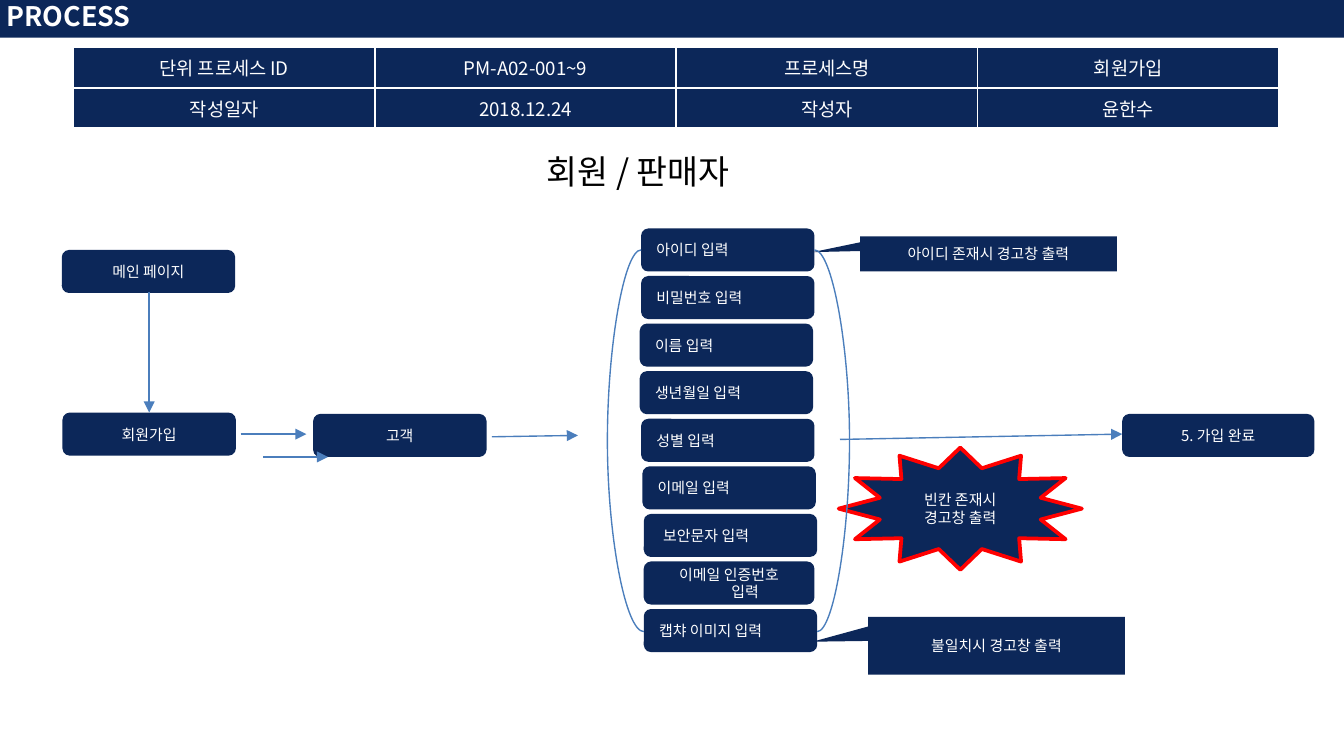
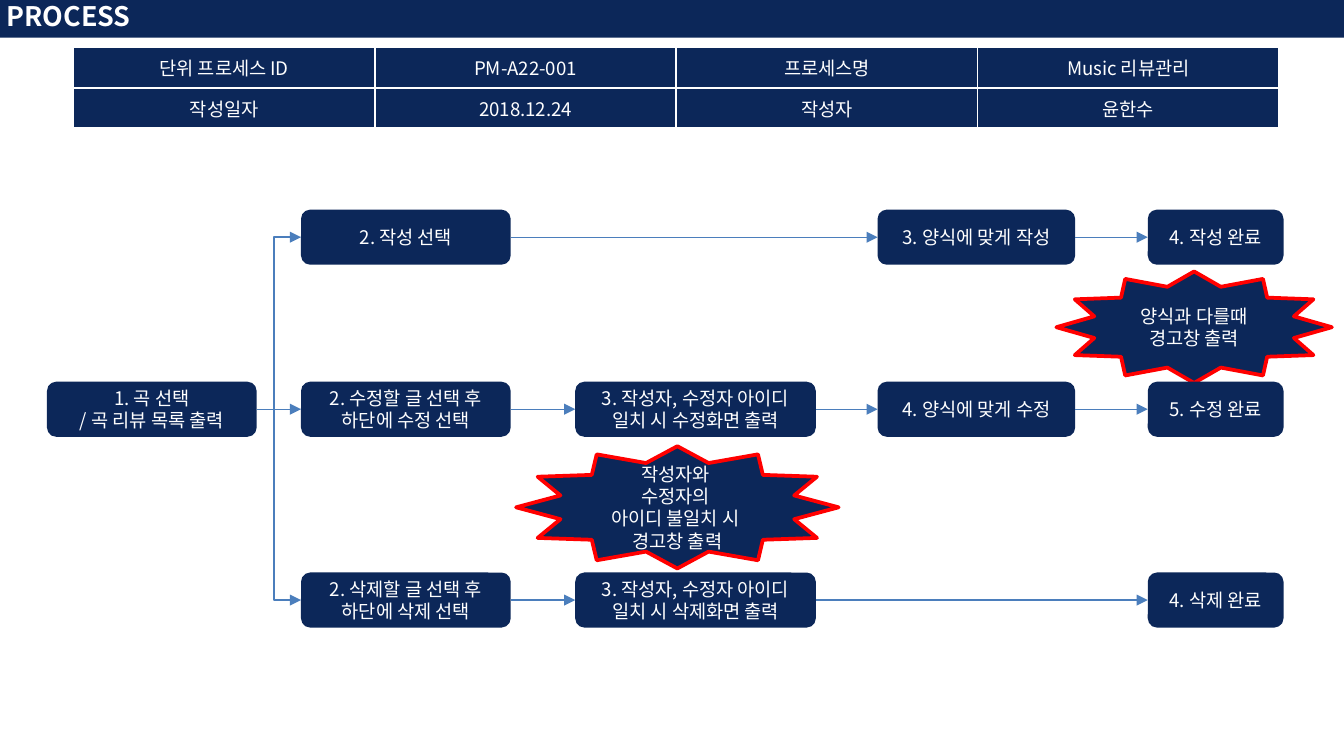
from lxml.etree import SubElement
from pptx import Presentation
from pptx.dml.color import RGBColor
from pptx.enum.shapes import MSO_CONNECTOR as LINK, MSO_SHAPE as FORM
from pptx.enum.text import MSO_ANCHOR, PP_ALIGN as ALIGN
from pptx.oxml.ns import qn
from pptx.util import Inches, Pt

NAVY = RGBColor(0x0C, 0x27, 0x59)
BLUE = RGBColor(0x4B, 0x7E, 0xBC)
RED = RGBColor(0xFF, 0x00, 0x00)
WHITE = RGBColor(0xFF, 0xFF, 0xFF)
BLACK = RGBColor(0x00, 0x00, 0x00)
FONT = "Noto Sans CJK KR"

# Square grid: 100 columns across, 56.25 rows down (16:9)
UNIT = Inches(0.1)
COLS, ROWS = 100, 56.25

deck = Presentation()
deck.slide_width, deck.slide_height = int(COLS * UNIT), int(ROWS * UNIT)


def write(text, page=None, at=None, cell=None, form=FORM.ROUNDED_RECTANGLE,
          size=8, color=WHITE, bold=False, align=ALIGN.CENTER, fill=NAVY,
          edge=None, adj=(), pad=(0.1, 0.05), dent=0, anchor=MSO_ANCHOR.MIDDLE):
    """Put text in a new shape on the page, or in a given table cell."""
    if cell is None:
        shape = page.shapes.add_shape(form, *[int(n * UNIT) for n in at])
        shape.shadow.inherit = False
        for i, value in enumerate(adj):
            shape.adjustments[i] = value
        if edge is None:
            shape.line.fill.background()
        else:
            shape.line.color.rgb = edge
            shape.line.width = Pt(2)
        frame, box = shape.text_frame, shape
        frame.word_wrap = True
        frame.vertical_anchor = anchor
        frame.margin_left = frame.margin_right = Inches(pad[0])
        frame.margin_top = frame.margin_bottom = Inches(pad[1])
    else:
        frame, box = cell.text_frame, cell
        cell.vertical_anchor = anchor
    box.fill.solid()
    box.fill.fore_color.rgb = fill
    frame.text = text
    for para in frame.paragraphs:
        para.alignment = align
        for gap in para._p.findall(qn("a:br")):
            SubElement(gap, qn("a:rPr"), sz=str(size * 100))
        for run in para.runs:
            font = run.font
            font.name, font.size, font.bold = FONT, Pt(size), bold
            font.color.rgb = color
            SubElement(run._r.get_or_add_rPr(), qn("a:ea"), typeface=FONT)
    if dent:
        para._p.get_or_add_pPr().set("marL", str(Inches(dent)))


def link(page, x1, y1, x2, y2, kind=LINK.STRAIGHT, bend=None, head=True):
    """Draw a connector; bend is the turning point as a share of its width."""
    line = page.shapes.add_connector(
        kind, *[int(n * UNIT) for n in (x1, y1, x2, y2)])
    line.line.color.rgb = BLUE
    line.line.width = Pt(0.75)
    props = line._element.spPr
    if head:
        SubElement(props.find(qn("a:ln")), qn("a:tailEnd"), type="triangle")
    SubElement(props, qn("a:effectLst"))
    if bend is not None:
        geom = props.find(qn("a:prstGeom"))
        guides = geom.find(qn("a:avLst"))
        if guides is None:
            guides = SubElement(geom, qn("a:avLst"))
        SubElement(guides, qn("a:gd"), name="adj1",
                   fmla=f"val {round(bend * 100000)}")


# Title band and info table on both slides
pages = []
for code, name in (("PM-A02-001~9", "회원가입"), ("PM-A22-001", "Music 리뷰관리")):
    page = deck.slides.add_slide(deck.slide_layouts[6])
    pages.append(page)
    write("PROCESS", page, (-0.4, -0.4, 100.4, 3.2), form=FORM.RECTANGLE,
          size=14.4, bold=True, align=ALIGN.LEFT, pad=(0.09, 0.04))
    info = (("단위 프로세스 ID", code, "프로세스명", name),
            ("작성일자", "2018.12.24", "작성자", "윤한수"))
    table = page.shapes.add_table(
        2, 4, *[int(n * UNIT) for n in (5.47, 3.53, 89.7, 5.64)]).table
    table.first_row = table.horz_banding = False
    for r, row in enumerate(info):
        table.rows[r].height = int(2.82 * UNIT)
        for c, text in enumerate(row):
            cell = table.cell(r, c)
            for side in ("lnL", "lnR", "lnT", "lnB"):
                rim = SubElement(cell._tc.get_or_add_tcPr(), qn("a:" + side),
                                 w=str(Pt(1)))
                paint = SubElement(rim, qn("a:solidFill"))
                SubElement(paint, qn("a:srgbClr"), val=str(WHITE))
            write(text, cell=cell, size=10)

join, review = pages

# Sign-up: main path
for text, x, y, wide in (("메인 페이지", 4.6, 18.6, 12.9),
                         ("회원가입", 4.65, 30.7, 12.9),
                         ("5. 가입 완료", 83.5, 30.8, 14.3),
                         ("고객", 23.3, 30.8, 12.9)):
    write(text, join, (x, y, wide, 3.2))

# Sign-up: column of input steps
STEPS = (("아이디 입력", 47.7), ("비밀번호 입력", 47.7), ("이름 입력", 47.6),
         ("생년월일 입력", 47.6), ("성별 입력", 47.7), ("이메일 입력", 47.8),
         ("보안문자 입력", 47.9), ("이메일 인증번호\n입력", 47.9),
         ("캡챠 이미지 입력", 47.9))
for i, (text, x) in enumerate(STEPS):
    pair = "\n" in text
    write(text, join, (x, 17 + 3.54 * i, 12.7 if pair else 12.9, 3.2),
          align=ALIGN.CENTER if pair else ALIGN.JUSTIFY,
          dent=0.24 if pair else 0.03 if i == 6 else 0)

# Sign-up: warnings and heading
for text, spot, adj in (
        ("아이디 존재시 경고창 출력", (64, 17.6, 19.1, 2.6), (-0.685, -0.051)),
        ("불일치시 경고창 출력", (64.6, 45.9, 19.1, 4.3), (-0.717, -0.069))):
    write(text, join, spot, form=FORM.RECTANGULAR_CALLOUT, adj=adj, pad=(0, 0))
write("회원 / 판매자", join, (39.7, 10.7, 20.7, 4.1), form=FORM.RECTANGLE, size=18,
      color=BLACK, fill=WHITE, align=ALIGN.LEFT, anchor=MSO_ANCHOR.TOP)
write("빈칸 존재시\v경고창 출력", join, (62.4, 33.3, 18.1, 9.1),
      form=FORM.STAR_12_POINT, edge=RED, adj=(0.342,), pad=(0, 0))

# Sign-up: arrows and the two curves around the steps
for ends in ((11.1, 21.7, 11.1, 30.7), (17.9, 32.3, 22.8, 32.3),
             (62.5, 32.7, 83.5, 32.3), (36.6, 32.5, 43, 32.4),
             (19.6, 34, 24.4, 34)):
    link(join, *ends)
for x, bend in ((47.7, -12.5), (60.6, 13)):
    link(join, x, 18.6, x + 0.2, 47, kind=LINK.CURVE, bend=bend, head=False)

# Review: lanes for writing, editing and deleting
WRITE, EDIT, DROP = 15.6, 28.4, 42.6
TALL = 4.1
SPOTS = ((3.5, 15.6), (22.4, 15.6), (42.8, 17.9), (65.3, 14.7), (85.4, 10.1))
LANES = (
    (WRITE, {1: "2. 작성 선택", 3: "3. 양식에 맞게 작성", 4: "4. 작성 완료"}),
    (EDIT, {0: "1. 곡 선택\n/ 곡 리뷰 목록 출력",
            1: "2. 수정할 글 선택 후\n하단에 수정 선택",
            2: "3. 작성자, 수정자 아이디 일치 시 수정화면 출력",
            3: "4. 양식에 맞게 수정", 4: "5. 수정 완료"}),
    (DROP, {1: "2. 삭제할 글 선택 후\n하단에 삭제 선택",
            2: "3. 작성자, 수정자 아이디 일치 시 삭제화면 출력",
            4: "4. 삭제 완료"}))

# Review: warning stars
for text, spot in (
        ("양식과 다를때\v경고창 출력", (78.6, 20.2, 20.5, 8.3)),
        ("작성자와 \v수정자의 \v아이디 불일치 시 \v경고창 출력",
         (38.4, 33.2, 24, 9.1))):
    write(text, review, spot, form=FORM.STAR_12_POINT, size=10, edge=RED,
          pad=(0, 0))

# Review: boxes, each joined to the next in its lane
for top, steps in LANES:
    mid = top + TALL / 2
    last = None
    for col, text in steps.items():
        x, wide = SPOTS[col]
        write(text, review, (x, top, wide, TALL), size=10)
        if last is not None:
            link(review, last, mid, x, mid)
        last = x + wide

# Review: branches from the edit lane to the other two
for top in (WRITE, DROP):
    link(review, 20.4, EDIT + TALL / 2, 22.4, top + TALL / 2,
         kind=LINK.ELBOW, bend=0)

deck.save("out.pptx")
